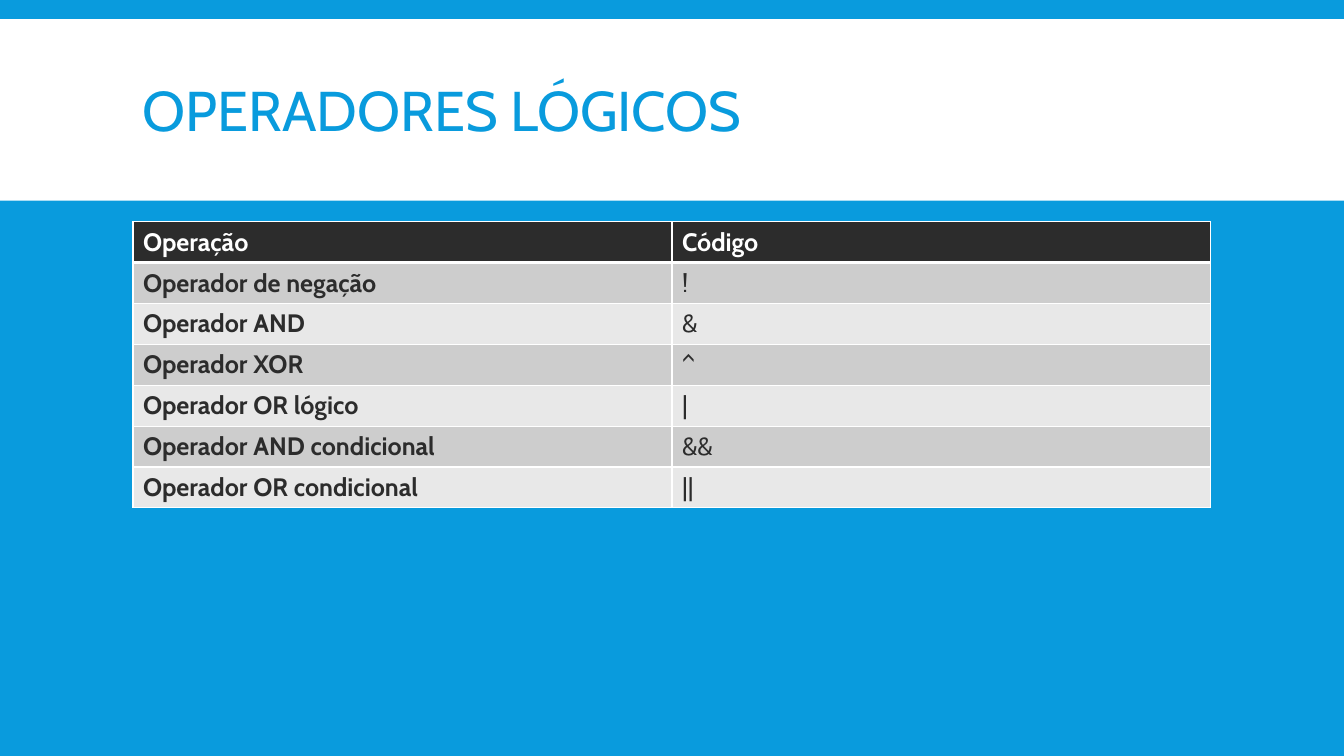
from dataclasses import dataclass

from lxml import etree
from pptx import Presentation
from pptx.dml import color
from pptx.enum import shapes, text
from pptx.oxml import ns
from pptx.util import Pt

FONT = "Cabin"
HUES = {"blue": "099BDD", "white": "FFFFFF", "dark": "2C2C2C",
        "odd": "CDCDCD", "even": "E8E8E8"}
LEFT, WIDTH = 95, 770
ROW = 29.2


@dataclass
class Entry:
    name: str
    code: str


HEAD = Entry("Operação", "Código")
ITEMS = [
    Entry("Operador de negação", "!"),
    Entry("Operador AND", "&"),
    Entry("Operador XOR", "^"),
    Entry("Operador OR lógico", "|"),
    Entry("Operador AND condicional", "&&"),
    Entry("Operador OR condicional", "||"),
]


def hue(name: str) -> color.RGBColor:
    return color.RGBColor.from_string(HUES[name])


def paint(fill, name: str) -> None:
    fill.solid()
    fill.fore_color.rgb = hue(name)


def style(frame, size: float, name: str, bold: bool = False) -> None:
    for run in frame.paragraphs[0].runs:
        font = run.font
        font.name, font.size, font.bold = FONT, Pt(size), bold
        font.color.rgb = hue(name)


def edge(cell, side: str, width: float) -> None:
    props = cell._tc.get_or_add_tcPr()
    line = etree.SubElement(props, ns.qn(f"a:ln{side}"), w=str(Pt(width)))
    solid = etree.SubElement(line, ns.qn("a:solidFill"))
    etree.SubElement(solid, ns.qn("a:srgbClr"), val=HUES["white"])


def draw_cell(cell, label: str, row: int, bold: bool) -> None:
    # Borders come before the fill in the cell properties
    widths = {"L": 1, "R": 1, "T": 3 if row == 1 else 1, "B": 3 if row == 0 else 1}
    for side, width in widths.items():
        edge(cell, side, width)
    back = "dark" if row == 0 else "odd" if row % 2 else "even"
    paint(cell.fill, back)
    cell.text_frame.text = label
    style(cell.text_frame, 18, "white" if row == 0 else "dark", bold)


def draw_band(slide) -> None:
    band = slide.shapes.add_shape(
        shapes.MSO_SHAPE.RECTANGLE, 0, Pt(13.7), Pt(960), Pt(129.6))
    band.shadow.inherit = False
    paint(band.fill, "white")
    band.line.fill.background()


def draw_title(slide, label: str) -> None:
    box = slide.shapes.add_textbox(Pt(LEFT), Pt(22.3), Pt(WIDTH), Pt(118.8))
    frame = box.text_frame
    frame.word_wrap = True
    frame.vertical_anchor = text.MSO_ANCHOR.MIDDLE
    frame.text = label
    frame.paragraphs[0].line_spacing = 0.85
    style(frame, 40, "blue")


def draw_table(slide, rows: list[Entry]) -> None:
    grid = slide.shapes.add_table(
        len(rows), 2, Pt(LEFT), Pt(158.4), Pt(WIDTH), Pt(ROW * len(rows))).table
    for col in grid.columns:
        col.width = Pt(WIDTH / 2)
    for i, entry in enumerate(rows):
        grid.rows[i].height = Pt(ROW)
        draw_cell(grid.cell(i, 0), entry.name, i, True)
        draw_cell(grid.cell(i, 1), entry.code, i, i == 0)


def main() -> None:
    deck = Presentation()
    deck.slide_width, deck.slide_height = Pt(960), Pt(540)
    slide = deck.slides.add_slide(deck.slide_layouts[6])
    paint(slide.background.fill, "blue")
    # Header
    draw_band(slide)
    draw_title(slide, "OPERADORES LÓGICOS")
    # Operators
    draw_table(slide, [HEAD, *ITEMS])
    deck.save("out.pptx")


if __name__ == "__main__":
    main()
